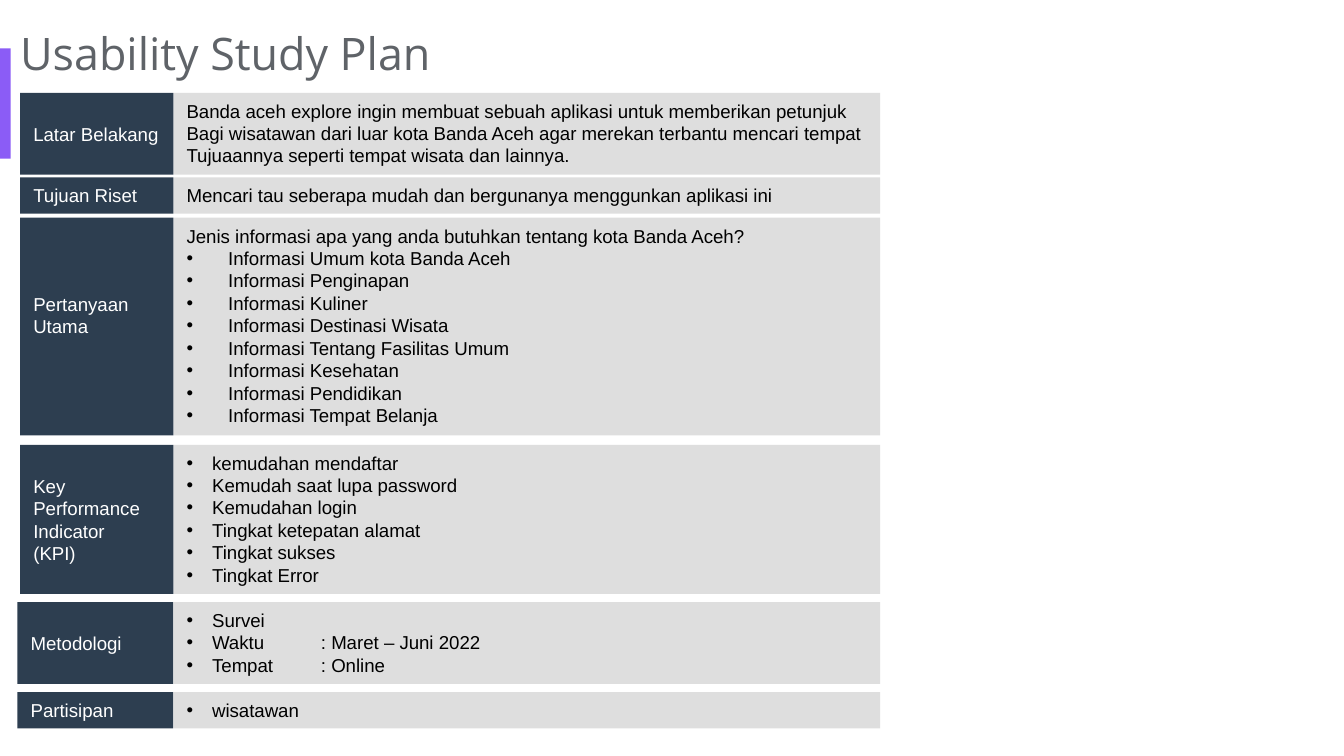
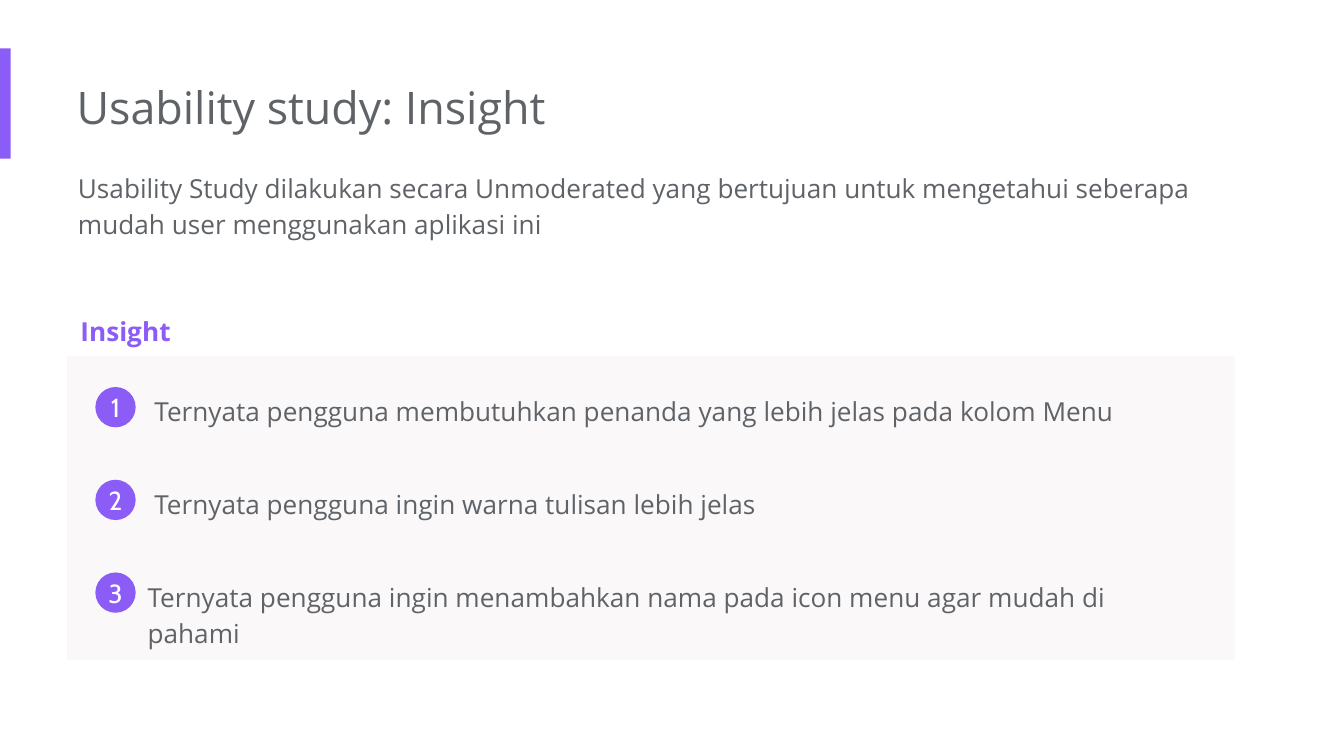
from lxml.etree import SubElement
from pptx import Presentation
from pptx.dml.color import RGBColor
from pptx.enum.shapes import MSO_SHAPE as SHAPE
from pptx.enum.text import MSO_ANCHOR as ANCHOR, PP_ALIGN as ALIGN
from pptx.oxml.ns import qn
from pptx.util import Inches, Pt

PURPLE = RGBColor(0x8B, 0x5C, 0xF6)
GRAY = RGBColor(0x5F, 0x63, 0x68)
NAVY = RGBColor(0x2D, 0x3E, 0x50)
SILVER = RGBColor(0xDE, 0xDE, 0xDE)
PALE = RGBColor(0xFA, 0xF8, 0xF9)
BLACK = RGBColor(0, 0, 0)
WHITE = RGBColor(0xFF, 0xFF, 0xFF)


def add_block(slide, left, top, width, height, fill, kind=SHAPE.RECTANGLE):
    block = slide.shapes.add_shape(
        kind, Inches(left), Inches(top), Inches(width), Inches(height))
    block.shadow.inherit = False
    block.fill.solid()
    block.fill.fore_color.rgb = fill
    block.line.fill.background()
    return block


def write(shape, text, size=14, font="Open Sans", color=GRAY, bold=False,
          align=ALIGN.LEFT, anchor=ANCHOR.TOP, insets=(0.1, 0.1, 0.1, 0.1),
          spacing=None, indent=0, plain_lines=0):
    frame = shape.text_frame
    frame.word_wrap = True
    frame.vertical_anchor = anchor
    (frame.margin_left, frame.margin_top,
     frame.margin_right, frame.margin_bottom) = map(Inches, insets)
    for index, line in enumerate(text.split("\n")):
        paragraph = frame.add_paragraph() if index else frame.paragraphs[0]
        paragraph.alignment = align
        if spacing:
            paragraph.line_spacing = spacing
        if indent and index >= plain_lines:
            props = paragraph._p.get_or_add_pPr()
            props.set("marL", str(Inches(indent)))
            props.set("indent", str(-Inches(indent)))
            bullet_color = SubElement(props, qn("a:buClr"))
            SubElement(bullet_color, qn("a:srgbClr"), val=str(color))
            SubElement(props, qn("a:buFont"), typeface=font)
            SubElement(props, qn("a:buChar"), char="•")
        run = paragraph.add_run()
        run.text = line
        run.font.size = Pt(size)
        run.font.name = font
        run.font.bold = bold
        run.font.color.rgb = color


prs = Presentation()
prs.slide_width = Inches(10)
prs.slide_height = prs.slide_width * 9 // 16

slides = []
for title, left, top in [("Usability Study Plan", 0.15, 0.09),
                         ("Usability study: Insight", 0.57, 0.49)]:
    slide = prs.slides.add_slide(prs.slide_layouts[6])
    add_block(slide, 0, 0.36, 0.08, 0.82, PURPLE)
    heading = slide.shapes.add_textbox(
        Inches(left), Inches(top), Inches(6.73), Inches(0.61))
    write(heading, title, size=24, insets=(0, 0.1, 0.1, 0.1))
    slides.append(slide)
plan, insight = slides

DETAIL_LEFT, DETAIL_WIDTH = 1.29, 5.26
plan_rows = [
    (0.15, 0.69, 0.61, "Latar Belakang",
     "Banda aceh explore ingin membuat sebuah aplikasi untuk memberikan petunjuk\n"
     "Bagi wisatawan dari luar kota Banda Aceh agar merekan terbantu mencari tempat\n"
     "Tujuaannya seperti tempat wisata dan lainnya.", 0, 0, 0.05),
    (0.15, 1.32, 0.27, "Tujuan Riset",
     "Mencari tau seberapa mudah dan bergunanya menggunkan aplikasi ini",
     0, 0, 0.05),
    (0.15, 1.62, 1.62, "Pertanyaan\nUtama",
     "Jenis informasi apa yang anda butuhkan tentang kota Banda Aceh?\n"
     "Informasi Umum kota Banda Aceh\nInformasi Penginapan\n"
     "Informasi Kuliner\nInformasi Destinasi Wisata\n"
     "Informasi Tentang Fasilitas Umum\nInformasi Kesehatan\n"
     "Informasi Pendidikan\nInformasi Tempat Belanja", 0.31, 1, 0.22),
    (0.15, 3.31, 1.11, "Key\nPerformance\nIndicator\n(KPI)",
     "kemudahan mendaftar\nKemudah saat lupa password\nKemudahan login\n"
     "Tingkat ketepatan alamat\nTingkat sukses\nTingkat Error", 0.19, 0, 0.05),
    (0.13, 4.48, 0.61, "Metodologi",
     "Survei\nWaktu\t: Maret – Juni 2022\nTempat\t: Online", 0.19, 0, 0.05),
    (0.13, 5.15, 0.27, "Partisipan", "wisatawan", 0.19, 0, 0.05),
]
for left, top, height, label, detail, indent, plain_lines, label_bottom in plan_rows:
    detail_cell = add_block(plan, DETAIL_LEFT, top, DETAIL_WIDTH, height, SILVER)
    write(detail_cell, detail, size=10, font="Arial", color=BLACK,
          insets=(0.1, 0.05, 0.1, 0.05), indent=indent, plain_lines=plain_lines)
    label_cell = add_block(plan, left, top, DETAIL_LEFT - left, height, NAVY)
    write(label_cell, label, size=10, font="Arial", color=WHITE,
          anchor=ANCHOR.MIDDLE, insets=(0.1, 0.05, 0.1, label_bottom))

summary = insight.shapes.add_textbox(
    Inches(0.58), Inches(1.15), Inches(8.61), Inches(0.74))
write(summary,
      "Usability Study dilakukan secara Unmoderated yang bertujuan untuk "
      "mengetahui seberapa mudah user menggunakan aplikasi ini",
      insets=(0, 0.1, 0.1, 0.1), spacing=1.15)
subheading = insight.shapes.add_textbox(
    Inches(0.5), Inches(2.21), Inches(3.65), Inches(0.44))
write(subheading, "Insight", color=PURPLE, bold=True, spacing=1.15)
add_block(insight, 0.5, 2.65, 8.69, 2.26, PALE)

findings = [
    (1.05, 7.91, 0.47,
     "Ternyata pengguna membutuhkan penanda yang lebih jelas pada kolom Menu"),
    (1.05, 8.04, 0.47, "Ternyata pengguna ingin warna tulisan lebih jelas"),
    (1, 7.96, 0.74,
     "Ternyata pengguna ingin menambahkan nama pada icon menu agar mudah di pahami"),
]
for index, (left, width, height, finding) in enumerate(findings):
    top = 2.81 + 0.69 * index
    statement = insight.shapes.add_textbox(
        Inches(left), Inches(top), Inches(width), Inches(height))
    write(statement, finding, spacing=1.15)
    badge = add_block(insight, 0.71, top + 0.07, 0.3, 0.3, PURPLE, SHAPE.OVAL)
    write(badge, str(index + 1), font="Cabin", color=WHITE, align=ALIGN.CENTER,
          anchor=ANCHOR.MIDDLE, insets=(0, 0, 0, 0))

prs.save("out.pptx")
